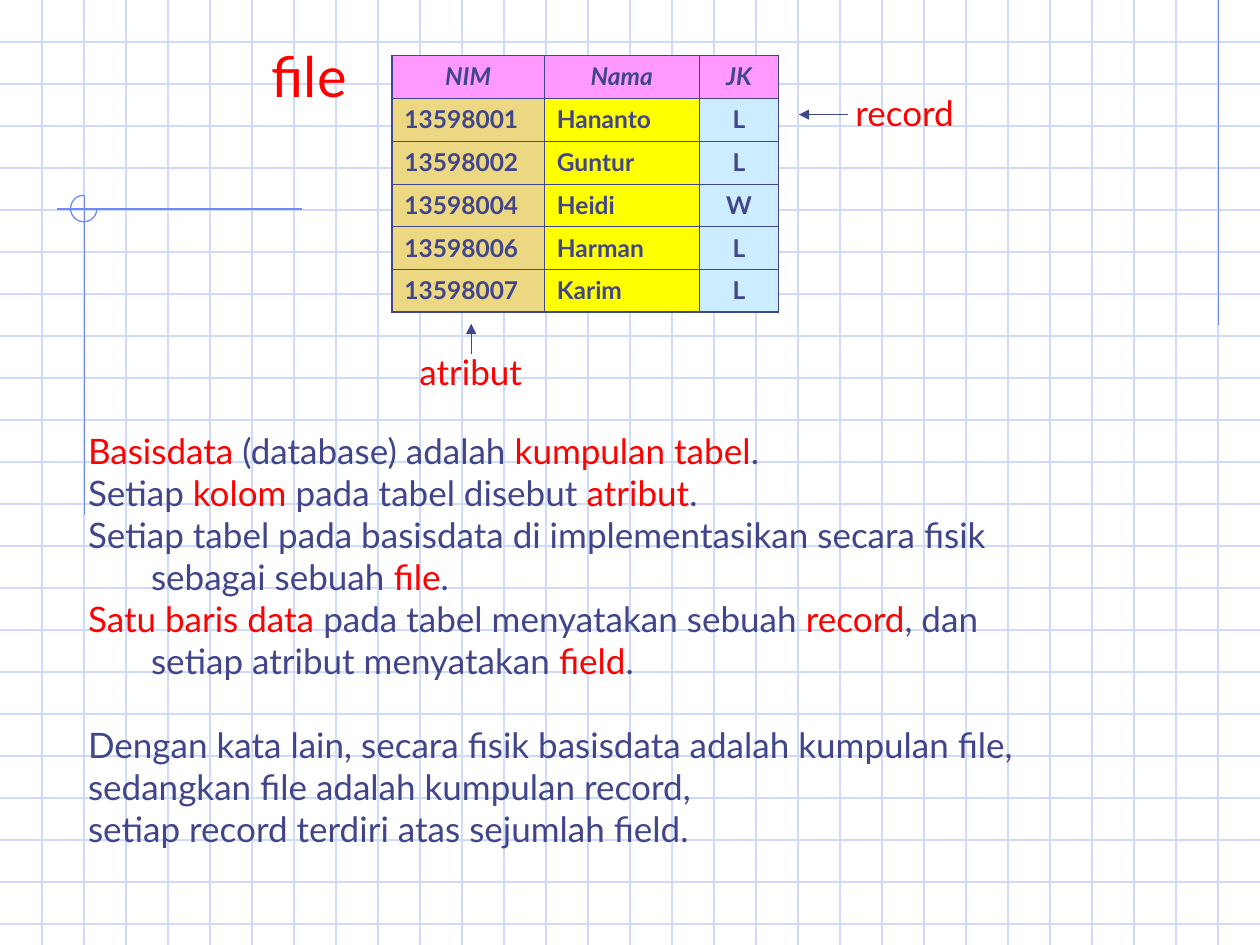
from lxml import etree
from pptx import Presentation
from pptx.dml.color import RGBColor
from pptx.enum.shapes import MSO_CONNECTOR as Connector, MSO_SHAPE as Shape
from pptx.enum.text import PP_ALIGN as Align
from pptx.oxml import parse_xml
from pptx.oxml.ns import nsdecls, qn
from pptx.util import Inches, Pt

FONT = "Lato"
COLORS = {"grid": "CFDBFD", "accent": "6F89F7", "ink": "40458C", "red": "FF0000",
          "header": "FF99FF", "NIM": "ECD882", "Nama": "FFFF00", "JK": "CCECFF"}
RGB = {name: RGBColor.from_string(value) for name, value in COLORS.items()}

deck = Presentation()
deck.slide_width, deck.slide_height = Inches(10), Inches(7.5)
page = deck.slides.add_slide(deck.slide_layouts[6])


def draw_line(x1, y1, x2, y2, color, arrow=False):
    line = page.shapes.add_connector(
        Connector.STRAIGHT, Inches(x1), Inches(y1), Inches(x2), Inches(y2))
    line.line.color.rgb = RGB[color]
    line.line.width = Pt(0.75)
    properties = line._element.spPr
    if arrow:
        etree.SubElement(properties.find(qn("a:ln")), qn("a:tailEnd"), type="triangle")
    etree.SubElement(properties, qn("a:effectLst"))


def add_span(para, text, color, **formats):
    span = para.add_run()
    span.text = text
    span.font.name = FONT
    span.font.color.rgb = RGB[color]
    for name, value in formats.items():
        setattr(span.font, name, value)


# Background grid, three squares to the inch
for step in range(1, 23):
    draw_line(0, step / 3, 10, step / 3, "grid")
for step in range(1, 30):
    draw_line(step / 3, 0, step / 3, 7.5, "grid")

# Accent lines and the three-quarter circle where they cross
for ends in [(9.67, 0, 9.67, 2.58), (2.4, 1.66, 0.45, 1.66), (0.67, 1.55, 0.67, 4.09)]:
    draw_line(*ends, "accent")
arc = page.shapes.add_shape(
    Shape.ARC, Inches(0.56), Inches(1.55), Inches(0.21), Inches(0.21))
arc.adjustments[0], arc.adjustments[1] = 0, 162
arc.shadow.inherit = False
arc.fill.background()
arc.line.color.rgb = RGB["accent"]
arc.line.width = Pt(0.75)

# Text boxes: asterisks enclose the red words
explanation = [
    "*Basisdata* (database) adalah *kumpulan tabel*.",
    "Setiap *kolom* pada tabel disebut *atribut*.",
    "Setiap tabel pada basisdata di implementasikan secara fisik",
    "\tsebagai sebuah *file*.",
    "*Satu baris data* pada tabel menyatakan sebuah *record*, dan",
    "\tsetiap atribut menyatakan *field*.",
    "Dengan kata lain, secara fisik basisdata adalah kumpulan file,",
    "sedangkan file adalah kumpulan record,",
    "setiap record terdiri atas sejumlah field.",
]
boxes = [
    (0.6, 3.36, 8.29, 3.44, 20, explanation),
    (3.23, 2.73, 1.08, 0.44, 20, ["*atribut*"]),
    (2.06, 0.28, 0.83, 0.64, 32, ["*file*"]),
    (6.69, 0.68, 1.06, 0.44, 20, ["*record*"]),
]
for left, top, width, height, size, lines in boxes:
    box = page.shapes.add_textbox(Inches(left), Inches(top), Inches(width), Inches(height))
    frame = box.text_frame
    frame.word_wrap = True
    for index, text in enumerate(lines):
        para = frame.paragraphs[0] if index == 0 else frame.add_paragraph()
        if text.startswith("Dengan"):
            para.space_before = Pt(24)
        for part, words in enumerate(text.split("*")):
            if words:
                add_span(para, words, "red" if part % 2 else "ink", size=Pt(size))

# Student table
rows = [
    ("NIM", "Nama", "JK"),
    ("13598001", "Hananto", "L"),
    ("13598002", "Guntur", "L"),
    ("13598004", "Heidi", "W"),
    ("13598006", "Harman", "L"),
    ("13598007", "Karim", "L"),
]
widths = [1.21, 1.23, 0.63]
table = page.shapes.add_table(len(rows), len(widths), Inches(3.11), Inches(0.44),
                              Inches(sum(widths)), Inches(0.34 * len(rows))).table
table.first_row = table.horz_banding = False
for column, width in zip(table.columns, widths):
    column.width = Inches(width)
for r, values in enumerate(rows):
    table.rows[r].height = Inches(0.34)
    for c, value in enumerate(values):
        cell = table.cell(r, c)
        # Thick border around the table, thin ones inside
        outer = {"lnL": c == 0, "lnR": c == len(widths) - 1,
                 "lnT": r == 0, "lnB": r == len(rows) - 1}
        for side, thick in outer.items():
            cell._tc.get_or_add_tcPr().append(parse_xml(
                f'<a:{side} {nsdecls("a")} w="{Pt(1.08 if thick else 0.45)}"><a:solidFill>'
                f'<a:srgbClr val="{COLORS["ink"]}"/></a:solidFill></a:{side}>'))
        cell.fill.solid()
        cell.fill.fore_color.rgb = RGB["header" if r == 0 else rows[0][c]]
        para = cell.text_frame.paragraphs[0]
        para.alignment = Align.CENTER if r == 0 or c == 2 else Align.LEFT
        add_span(para, value, "ink", size=Pt(14), bold=True, italic=r == 0)

# Arrows from the labels to the table
draw_line(3.74, 2.81, 3.74, 2.57, "ink", arrow=True)
draw_line(6.73, 0.91, 6.34, 0.91, "ink", arrow=True)

deck.save("out.pptx")
